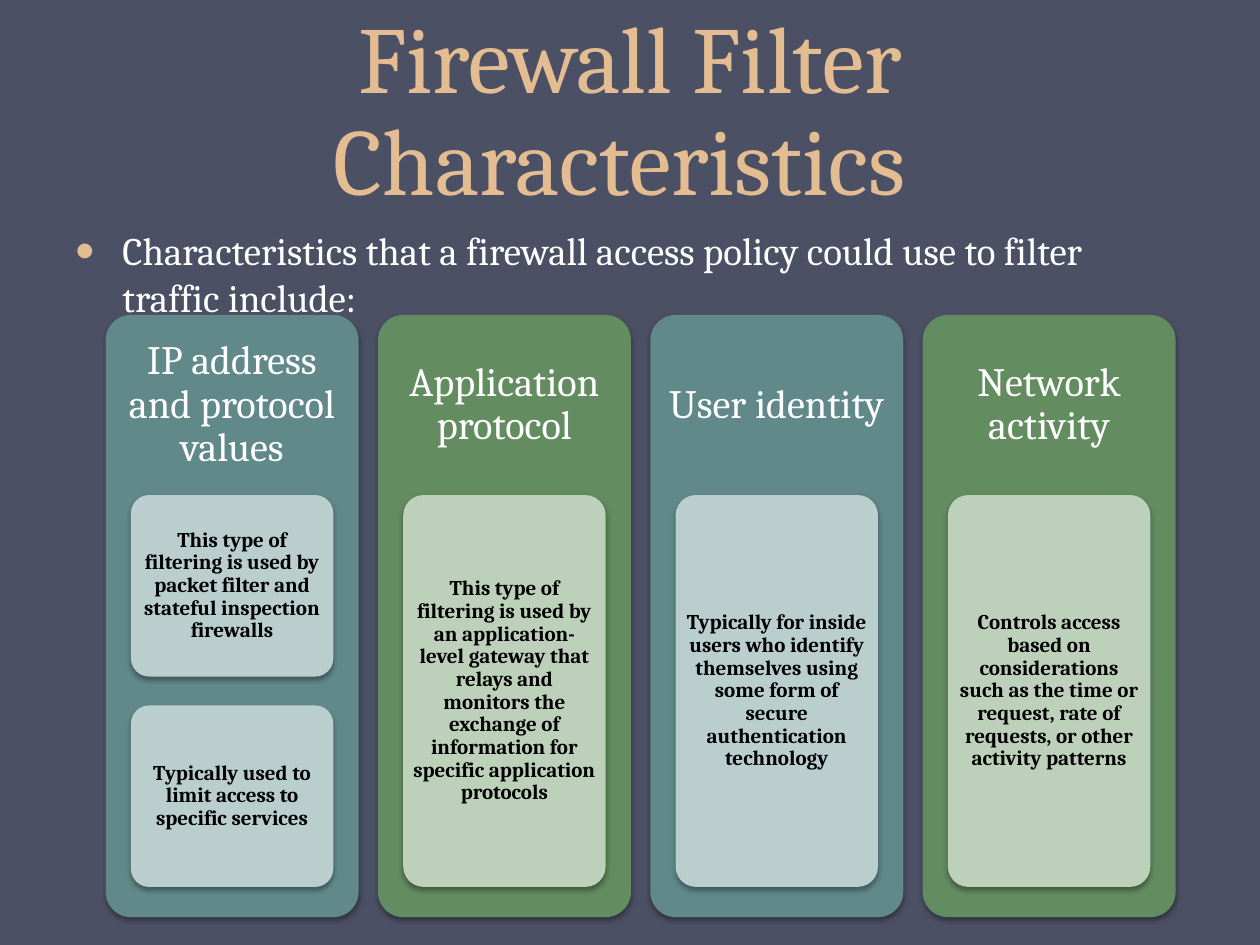
from lxml import etree
from pptx import Presentation
from pptx.dml.color import RGBColor
from pptx.enum.shapes import MSO_SHAPE
from pptx.enum.text import MSO_ANCHOR, MSO_AUTO_SIZE, PP_ALIGN
from pptx.oxml import parse_xml
from pptx.oxml.ns import qn
from pptx.util import Cm, Pt

ROUNDED = MSO_SHAPE.ROUNDED_RECTANGLE
MIDDLE, TOP, BOTTOM = MSO_ANCHOR.MIDDLE, MSO_ANCHOR.TOP, MSO_ANCHOR.BOTTOM
CENTER, LEFT = PP_ALIGN.CENTER, PP_ALIGN.LEFT
NO_FIT = MSO_AUTO_SIZE.NONE

TITLE = "Firewall Filter Characteristics "
INTRO = "Characteristics that a firewall access policy could use to filter traffic include:"
CHARACTERISTICS = [
    ("IP address and protocol values", [
        "This type of filtering is used by packet filter and stateful inspection firewalls",
        "Typically used to limit access to specific services",
    ]),
    ("Application protocol", [
        "This type of filtering is used by an application-level gateway that relays and "
        "monitors the exchange of information for specific application protocols",
    ]),
    ("User identity", [
        "Typically for inside users who identify themselves using some form of secure "
        "authentication technology",
    ]),
    ("Network activity", [
        "Controls access based on considerations such as the time or request, rate of "
        "requests, or other activity patterns",
    ]),
]

COLORS = {
    "background": "4B5064", "accent": "E3BC92", "white": "FFFFFF", "black": "000000",
    "teal": "61898A", "pale_teal": "BACECE", "green": "648C61", "pale_green": "BCD0BA",
}
THEMES = [("teal", "pale_teal"), ("green", "pale_green")]
FORMATS = {
    "title": dict(size=54, color="accent", bold=False, align=CENTER, anchor=BOTTOM,
                  spacing=Pt(58), margins=(0.25, 0.13)),
    "intro": dict(size=22.2, color="white", bold=False, align=LEFT, anchor=TOP,
                  spacing=1.0, margins=(0.25, 0.13)),
    "heading": dict(size=23, color="white", bold=False, align=CENTER, anchor=MIDDLE,
                    spacing=0.9, margins=(0.25, 0.25)),
    "card": dict(size=12, color="black", bold=True, align=CENTER, anchor=MIDDLE,
                 spacing=0.9, margins=(0.08, 0.08)),
}

COLUMN_LEFT, COLUMN_TOP = 2.13, 6.35
COLUMN_WIDTH, COLUMN_HEIGHT, COLUMN_GAP = 5.1, 12.14, 0.39
HEADING_HEIGHT = 3.63
CARD_INDENT, STACK_HEIGHT, CARD_GAP = 0.51, 7.9, 0.58

NAMESPACE = 'xmlns:a="http://schemas.openxmlformats.org/drawingml/2006/main"'
SHADOW = (
    f'<a:effectLst {NAMESPACE}><a:outerShdw blurRad="39400" dist="22900" dir="5400000" '
    f'rotWithShape="0"><a:srgbClr val="{COLORS["black"]}"><a:alpha val="35000"/>'
    '</a:srgbClr></a:outerShdw></a:effectLst>'
)
BULLET = [
    f'<a:buClr {NAMESPACE}><a:srgbClr val="{COLORS["accent"]}"/></a:buClr>',
    f'<a:buSzPct {NAMESPACE} val="140000"/>',
    f'<a:buFont {NAMESPACE} typeface="Arial"/>',
    f'<a:buChar {NAMESPACE} char="•"/>',
]


def rgb(name):
    return RGBColor.from_string(COLORS[name])


def write(shape, text, role, bullet=False):
    style = FORMATS[role]
    across, down = map(Cm, style["margins"])
    frame = shape.text_frame
    frame_values = dict(word_wrap=True, auto_size=NO_FIT, vertical_anchor=style["anchor"],
                        margin_left=across, margin_right=across,
                        margin_top=down, margin_bottom=down)
    for name, value in frame_values.items():
        setattr(frame, name, value)
    paragraph = frame.paragraphs[0]
    paragraph.text = text
    if bullet:
        properties = paragraph._p.get_or_add_pPr()
        properties.set("marL", str(Cm(0.95)))
        properties.set("indent", str(-Cm(0.95)))
        for element in BULLET:
            properties.append(parse_xml(element))
    paragraph.alignment = style["align"]
    paragraph.line_spacing = style["spacing"]
    font = paragraph.runs[0].font
    for name, value in dict(name="Cambria", size=Pt(style["size"]), bold=style["bold"]).items():
        setattr(font, name, value)
    font.color.rgb = rgb(style["color"])


def add_panel(slide, left, top, width, height, color):
    panel = slide.shapes.add_shape(ROUNDED, Cm(left), Cm(top), Cm(width), Cm(height))
    panel.adjustments[0] = 0.1
    panel.fill.solid()
    panel.fill.fore_color.rgb = rgb(color)
    panel.line.fill.background()
    panel._element.spPr.append(etree.fromstring(SHADOW))
    return panel


def add_text(slide, left, top, width, height, text, role, bullet=False):
    box = slide.shapes.add_textbox(Cm(left), Cm(top), Cm(width), Cm(height))
    write(box, text, role, bullet)


def add_column(slide, left, heading, notes, theme):
    dark, pale = theme
    add_panel(slide, left, COLUMN_TOP, COLUMN_WIDTH, COLUMN_HEIGHT, dark)
    add_text(slide, left, COLUMN_TOP, COLUMN_WIDTH, HEADING_HEIGHT, heading, "heading")
    card_height = (STACK_HEIGHT - CARD_GAP * (len(notes) - 1)) / len(notes)
    for row, note in enumerate(notes):
        card_top = COLUMN_TOP + HEADING_HEIGHT + row * (card_height + CARD_GAP)
        card = add_panel(slide, left + CARD_INDENT, card_top,
                         COLUMN_WIDTH - 2 * CARD_INDENT, card_height, pale)
        write(card, note, "card")


def main():
    deck = Presentation()
    deck.slide_width, deck.slide_height = Cm(25.4), Cm(19.05)
    slide = deck.slides.add_slide(deck.slide_layouts[5])
    slide.background.fill.solid()
    slide.background.fill.fore_color.rgb = rgb("background")

    title = slide.shapes.title
    title_place = dict(left=1.27, top=0, width=22.86, height=4.45)
    for name, value in title_place.items():
        setattr(title, name, Cm(value))
    write(title, TITLE, "title")
    add_text(slide, 1.27, 4.45, 22.86, 1.9, INTRO, "intro", bullet=True)

    for index, (heading, notes) in enumerate(CHARACTERISTICS):
        left = COLUMN_LEFT + index * (COLUMN_WIDTH + COLUMN_GAP)
        add_column(slide, left, heading, notes, THEMES[index % len(THEMES)])
    deck.save("out.pptx")


if __name__ == "__main__":
    main()
